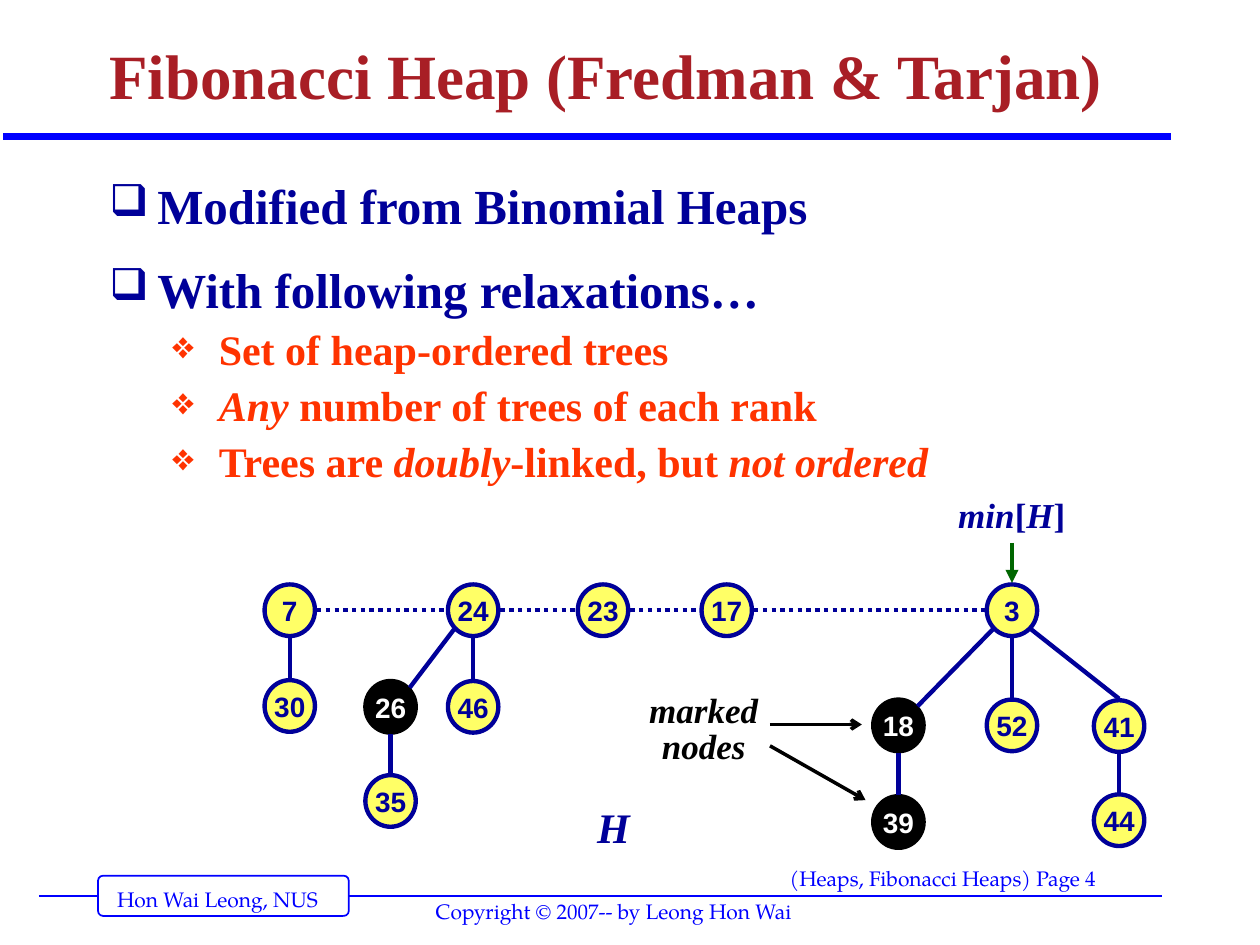
import pptx
import pptx.dml.color
import pptx.enum.dml
import pptx.enum.shapes
import pptx.enum.text
import pptx.oxml.ns
import pptx.util
from lxml import etree

Pt = pptx.util.Pt
qn = pptx.oxml.ns.qn
Shape = pptx.enum.shapes.MSO_SHAPE
Align = pptx.enum.text.PP_ALIGN
Anchor = pptx.enum.text.MSO_ANCHOR
Dash = pptx.enum.dml.MSO_LINE

NAVY, BLUE, RED, ORANGE = "000099", "0000FF", "A81E25", "FF3300"
YELLOW, BLACK, WHITE, GREEN = "FFFF66", "000000", "FFFFFF", "006600"
SERIF, SANS, FOOT = "Times New Roman", "Arial", "TeX Gyre Pagella"


def color(code):
    return pptx.dml.color.RGBColor.from_string(code)


class Deck:
    """Holds the style and the current slide, and draws each kind of element."""

    size = (28.8, 29.5)
    reach = 15.6
    ports = {"n": (0, -1), "s": (0, 1), "e": (1, 0), "w": (-1, 0),
             "ne": (0.7, -0.7), "se": (0.7, 0.7), "sw": (-0.7, 0.7)}

    def __init__(self):
        self.show = pptx.Presentation()
        self.show.slide_width, self.show.slide_height = Pt(720), Pt(540)
        self.slide = self.show.slides.add_slide(self.show.slide_layouts[6])
        self.spots = {}

    def style(self, para, text, size, ink, face=SERIF, bold=True, slant=False):
        if "*" in text:
            for num, part in enumerate(text.split("*")):
                if part:
                    run = para.add_run()
                    run.text = part
                    run.font.italic = num % 2 == 1
        else:
            para.text = text
            para.font.italic = slant
        font = para.font
        font.size, font.name, font.bold = Pt(size), face, bold
        font.color.rgb = color(ink)

    def box(self, left, top, width, height, side=7.2, anchor=Anchor.TOP):
        frame = self.slide.shapes.add_textbox(
            Pt(left), Pt(top), Pt(width), Pt(height)).text_frame
        frame.word_wrap = True
        frame.vertical_anchor = anchor
        frame.margin_left = frame.margin_right = Pt(side)
        frame.margin_top = frame.margin_bottom = Pt(3.6)
        return frame

    def label(self, place, text, size, ink, align=Align.LEFT, space=1.0,
              side=7.2, anchor=Anchor.TOP, **look):
        para = self.box(*place, side=side, anchor=anchor).paragraphs[0]
        self.style(para, text, size, ink, **look)
        para.alignment, para.line_spacing = align, space

    def bullets(self, place, items):
        frame = self.box(*place)
        for num, (level, text) in enumerate(items):
            para = frame.add_paragraph() if num else frame.paragraphs[0]
            mark, ink, size, gap, left, hang = (
                ("❖", ORANGE, 24, 6, 62.6, 26.6) if level
                else ("❑", NAVY, 28, 17.5, 27.4, 27.4))
            para.level = level
            para.line_spacing = 0.9
            para.space_before = Pt(gap if num else 0)
            props = para._p.get_or_add_pPr()
            props.set("marL", str(Pt(left)))
            props.set("indent", str(-Pt(hang)))
            tint = etree.SubElement(props, qn("a:buClr"))
            etree.SubElement(tint, qn("a:srgbClr"), val=ink)
            etree.SubElement(props, qn("a:buSzPct"), val="90000")
            etree.SubElement(props, qn("a:buChar"), char=mark)
            self.style(para, text, size, ink)

    def shape(self, kind, place, fill, edge, weight):
        item = self.slide.shapes.add_shape(kind, *map(Pt, place))
        item.shadow.inherit = False
        item.fill.solid()
        item.fill.fore_color.rgb = color(fill)
        item.line.color.rgb = color(edge)
        item.line.width = Pt(weight)
        return item

    def node(self, key, x, y, marked):
        wide, high = self.size
        self.spots[key] = x, y
        fill, edge, ink = ((BLACK, BLACK, WHITE) if marked
                           else (YELLOW, NAVY, NAVY))
        place = (x - wide / 2, y - high / 2, wide, high)
        frame = self.shape(Shape.OVAL, place, fill, edge, 2.5).text_frame
        frame.margin_left = frame.margin_right = 0
        frame.margin_top = frame.margin_bottom = Pt(3.6)
        frame.word_wrap = False
        frame.vertical_anchor = Anchor.MIDDLE
        para = frame.paragraphs[0]
        para.alignment = Align.CENTER
        self.style(para, str(key), 16, ink, face=SANS)

    def line(self, start, end, ink, weight, dash=None, tip=None):
        wire = self.slide.shapes.add_connector(
            pptx.enum.shapes.MSO_CONNECTOR.STRAIGHT, *map(Pt, start + end))
        wire.line.color.rgb = color(ink)
        wire.line.width = Pt(weight)
        if dash:
            wire.line.dash_style = dash
        if tip:
            etree.SubElement(wire.line._get_or_add_ln(),
                             qn("a:tailEnd"), type=tip)
        etree.SubElement(wire._element.spPr, qn("a:effectLst"))

    def port(self, key, side):
        x, y = self.spots[key]
        dx, dy = self.ports[side]
        return x + dx * self.reach, y + dy * self.reach

    def link(self, first, out, last, into, dash=None):
        self.line(self.port(first, out), self.port(last, into),
                  NAVY, 2.5, dash)


def main():
    deck = Deck()
    deck.line((22.3, 512), (664, 512), BLUE, 1)
    frame = deck.shape(Shape.ROUNDED_RECTANGLE, (56, 500.4, 143.3, 23),
                       WHITE, BLUE, 1)
    frame.adjustments[0] = 0.125
    deck.line((2, 77.8), (669, 77.8), BLUE, 4)
    for left, top, width, text in (
            (59.8, 503.3, 133, "Hon Wai Leong, NUS"),
            (444.2, 491, 247.7, "(Heaps, Fibonacci Heaps) Page 4"),
            (241.9, 509.8, 226.8, "Copyright © 2007-- by Leong Hon Wai")):
        deck.label((left, top, width, 22), text, 12, BLUE,
                   face=FOOT, bold=False)

    deck.label((55.4, 5.8, 612, 62.6), "Fibonacci Heap (Fredman & Tarjan)",
               36, RED, space=0.9, anchor=Anchor.BOTTOM)
    deck.bullets((55.4, 100.8, 617, 183.6), [
        (0, "Modified from Binomial Heaps"),
        (0, "With following relaxations…"),
        (1, "Set of heap-ordered trees"),
        (1, "*Any* number of trees of each rank"),
        (1, "Trees are *doubly*-linked, but *not ordered*")])

    roots = {7: 165.6, 24: 270.4, 23: 344.6, 17: 415.3, 3: 578.3}
    for key, x in roots.items():
        deck.node(key, x, 348.7, False)
    for key, x, y, marked in (
            (30, 165.6, 403.4, False), (26, 223.2, 403.9, True),
            (46, 270.4, 403.9, False), (35, 223.2, 457.7, False),
            (18, 513.4, 414.5, True), (52, 578.3, 414.5, False),
            (41, 639.5, 414.9, False), (39, 513.4, 469.7, True),
            (44, 639.5, 468.7, False)):
        deck.node(key, x, y, marked)

    keys = list(roots)
    for first, last in zip(keys, keys[1:]):
        deck.link(first, "e", last, "w", Dash.ROUND_DOT)
    for top, low in ((7, 30), (24, 46), (26, 35), (3, 52), (18, 39), (41, 44)):
        deck.link(top, "s", low, "n")
    deck.link(24, "sw", 26, "ne")
    deck.link(3, "sw", 18, "ne")
    deck.link(3, "se", 41, "n")

    deck.line((578.3, 310.3), deck.port(3, "n"), GREEN, 2.5, tip="triangle")
    deck.label((540.7, 278.6, 75, 31.7), "*min*[*H*]", 20, NAVY,
               align=Align.CENTER, side=3.6)
    deck.label((334.1, 454.3, 40.3, 36), "H", 24, NAVY, slant=True)
    deck.label((364.3, 393.8, 75.6, 48.2), "marked\vnodes", 20, BLACK,
               align=Align.CENTER, space=0.85, side=3.6, slant=True)
    deck.line((440, 414), (492.5, 414), BLACK, 2, tip="arrow")
    deck.line((440, 426.2), (494.6, 457.2), BLACK, 2, tip="arrow")
    deck.show.save("out.pptx")


if __name__ == "__main__":
    main()
